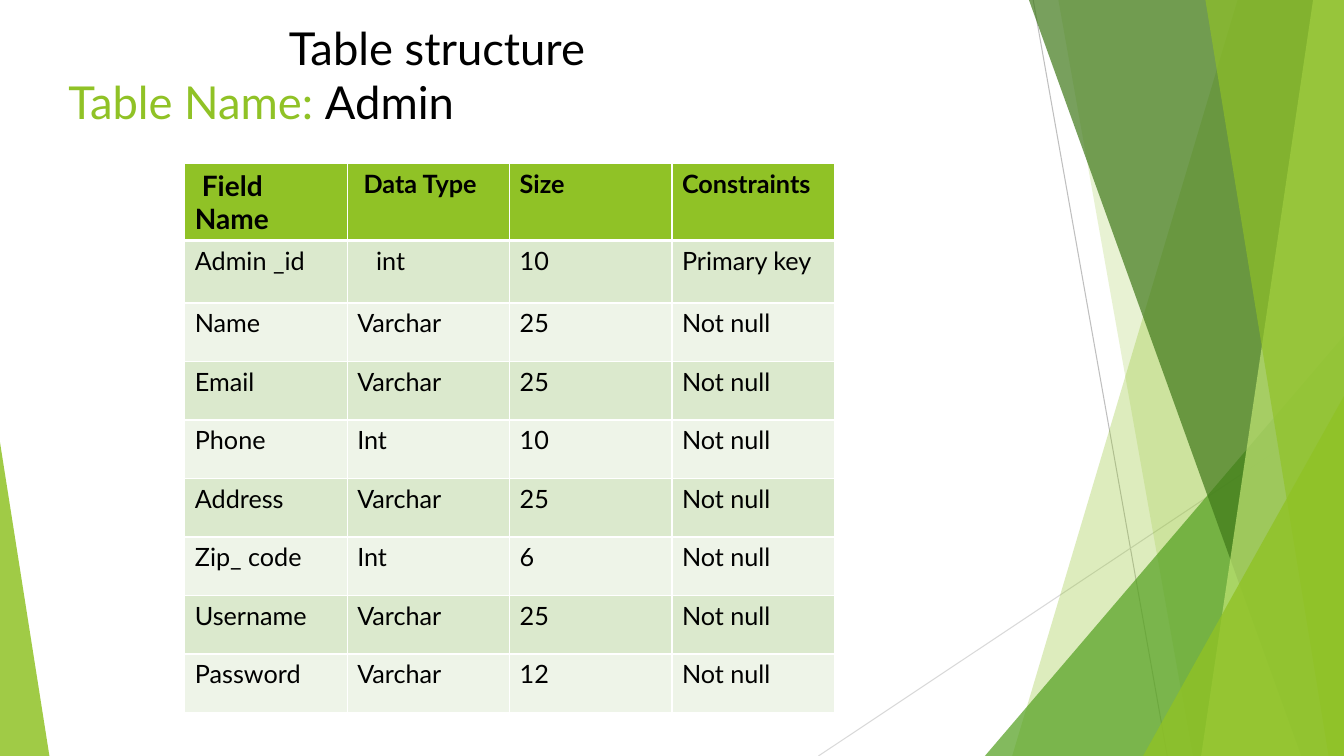
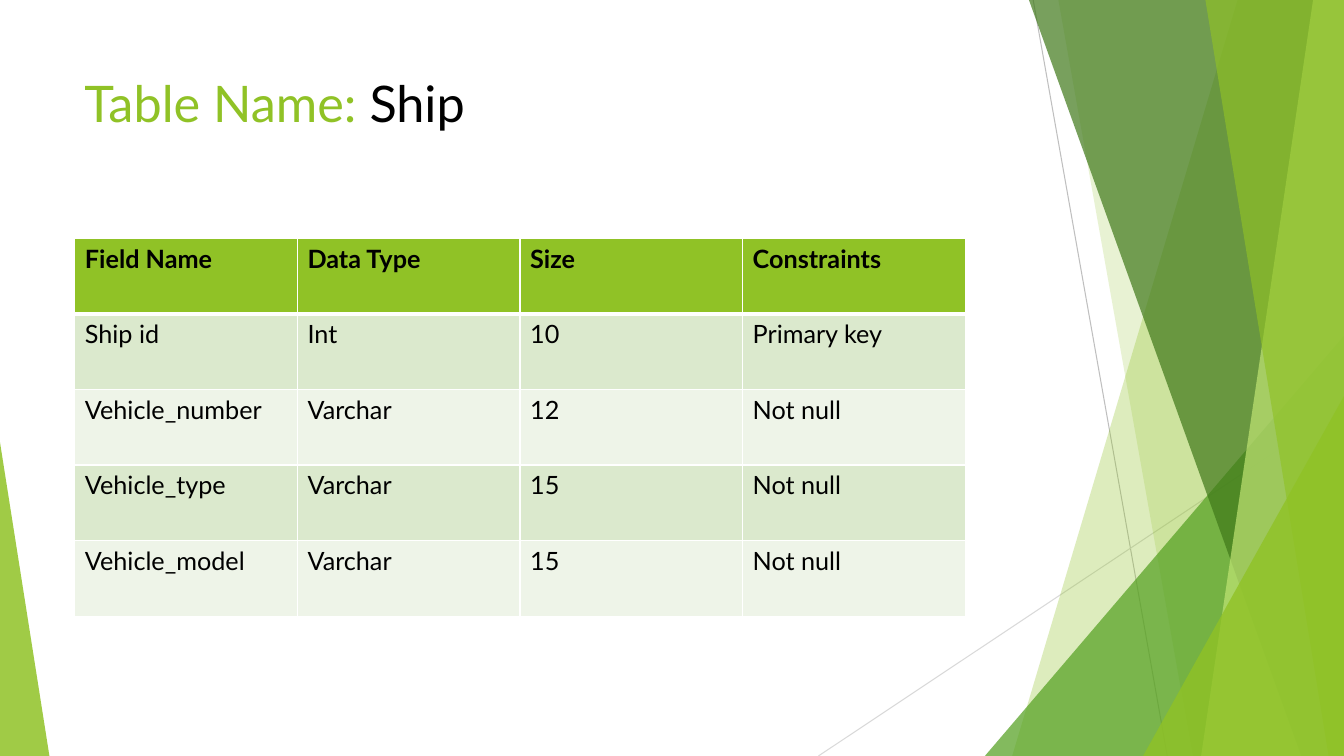
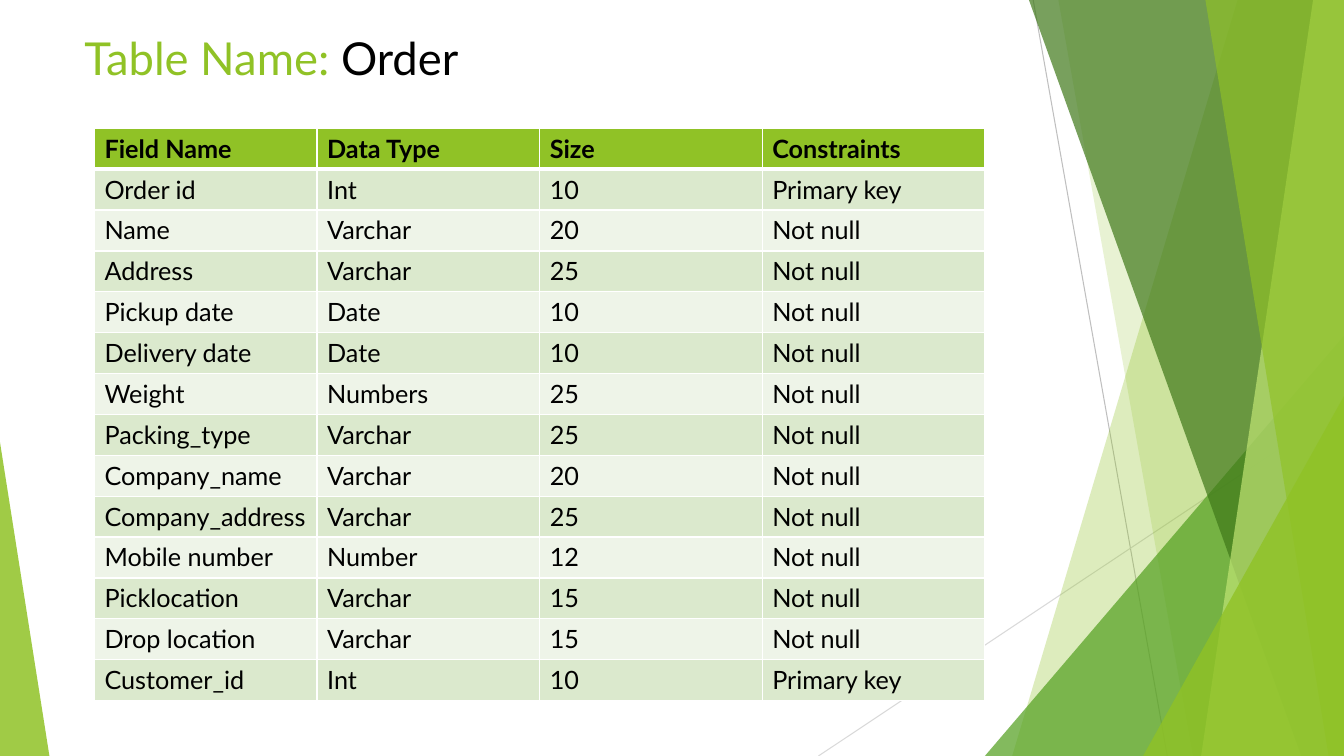
"""Build three slides that describe database tables."""
from lxml import etree
from pptx import Presentation
from pptx.dml.color import RGBColor
from pptx.enum import shapes, text
from pptx.oxml.ns import qn
from pptx.util import Pt

WIDTH, HEIGHT = 960, 540
FONT = "Lato"
COLORS = {
    "black": "000000", "white": "FFFFFF", "lime": "90C226", "pale lime": "C0E474",
    "green": "54A021", "dark green": "3F7819", "gray": "BFBFBF", "light gray": "D9D9D9",
    "odd row": "DBE9CD", "even row": "EEF4E8",
}

RAYS = [
    ("gray", (738, 0), (833.8, HEIGHT)),
    ("light gray", (WIDTH, 290), (584.6, HEIGHT)),
]
FACETS = [
    ("band", (884, 723), "lime", 30),
    ("band", (756, 852), "lime", 20),
    ("triangle", (703.5, 239.8, 256.5, 1), "green", 72),
    ("band", (735, 929.5), "dark green", 70),
    ("band", (938, 858), "pale lime", 70),
    ("band", (861, 949), "lime", 65),
    ("triangle", (816.5, 283, 143.5, 1), "lime", 80),
    ("triangle", (0, 316, 35.3, 0), "lime", 85),
]

HEADER = ("Field Name", "Data Type", "Size", "Constraints")
KEY, FILLED = "Primary key", "Not null"
PAGES = [
    {
        "heading": "Table structure", "name": "Admin",
        "title_size": 32.4, "title_at": (41.8, 10.8, 664.6, 90.7),
        "table_at": (132, 116.6), "column": 116, "heights": (55.2, 44.6, 41.8),
        "first_size": 20, "indents": {(0, 0): 5, (0, 1): 4.5, (1, 1): 13.5},
        "fields": [
            ("Admin _id", "int", 10, KEY),
            ("Name", "Varchar", 25, FILLED),
            ("Email", "Varchar", 25, FILLED),
            ("Phone", "Int", 10, FILLED),
            ("Address", "Varchar", 25, FILLED),
            ("Zip_ code", "Int", 6, FILLED),
            ("Username", "Varchar", 25, FILLED),
            ("Password", "Varchar", 12, FILLED),
        ],
    },
    {
        "name": "Ship",
        "title_size": 36, "title_at": (53.3, 48.2, 676.8, 103.7),
        "table_at": (53.5, 170.2), "column": 159, "heights": (54, 54, 54),
        "fields": [
            ("Ship id", "Int", 10, KEY),
            ("Vehicle_number", "Varchar", 12, FILLED),
            ("Vehicle_type", "Varchar", 15, FILLED),
            ("Vehicle_model", "Varchar", 15, FILLED),
        ],
    },
    {
        "name": "Order",
        "title_size": 32.4, "title_at": (53.3, 18, 401, 46),
        "table_at": (67.5, 92), "column": 159, "heights": (28.8, 29.2, 29.2),
        "fields": [
            ("Order id", "Int", 10, KEY),
            ("Name", "Varchar", 20, FILLED),
            ("Address", "Varchar", 25, FILLED),
            ("Pickup date", "Date", 10, FILLED),
            ("Delivery date", "Date", 10, FILLED),
            ("Weight", "Numbers", 25, FILLED),
            ("Packing_type", "Varchar", 25, FILLED),
            ("Company_name", "Varchar", 20, FILLED),
            ("Company_address", "Varchar", 25, FILLED),
            ("Mobile number", "Number", 12, FILLED),
            ("Picklocation", "Varchar", 15, FILLED),
            ("Drop location", "Varchar", 15, FILLED),
            ("Customer_id", "Int", 10, KEY),
        ],
    },
]


def rgb(name):
    return RGBColor.from_string(COLORS[name])


def write(para, words, size=18, color="black", bold=False, indent=0):
    if indent:
        para._p.get_or_add_pPr().set("indent", str(Pt(indent)))
    span = para.add_run()
    span.text = words
    span.font.name, span.font.size, span.font.bold = FONT, Pt(size), bold
    span.font.color.rgb = rgb(color)


def draw_facet(page, kind, place, color, opacity):
    if kind == "band":
        top_left, bottom_left = place
        builder = page.shapes.build_freeform(Pt(top_left), 0, scale=1.0)
        corners = [(WIDTH, 0), (WIDTH, HEIGHT), (bottom_left, HEIGHT)]
        builder.add_line_segments([(Pt(x), Pt(y)) for x, y in corners], close=True)
        facet = builder.convert_to_shape()
    else:
        left, top, width, apex = place
        facet = page.shapes.add_shape(shapes.MSO_SHAPE.ISOSCELES_TRIANGLE,
                                      Pt(left), Pt(top), Pt(width), Pt(HEIGHT - top))
        facet.adjustments[0] = apex
    facet.shadow.inherit = False
    facet.line.fill.background()
    facet.fill.solid()
    facet.fill.fore_color.rgb = rgb(color)
    tint = facet._element.spPr.find(qn("a:solidFill"))[0]
    etree.SubElement(tint, qn("a:alpha"), val=str(opacity * 1000))


def draw_backdrop(page):
    for color, start, end in RAYS:
        ray = page.shapes.add_connector(shapes.MSO_CONNECTOR.STRAIGHT,
                                        *map(Pt, start + end))
        ray.line.color.rgb = rgb(color)
        ray.line.width = Pt(0.75)
        etree.SubElement(ray._element.spPr, qn("a:effectLst"))
    for facet in FACETS:
        draw_facet(page, *facet)


def add_title(page, content):
    box = page.shapes.add_textbox(*map(Pt, content["title_at"]))
    frame = box.text_frame
    frame.word_wrap = True
    frame.vertical_anchor = text.MSO_ANCHOR.TOP
    size = content["title_size"]
    para = frame.paragraphs[0]
    if "heading" in content:
        write(para, content["heading"], size=size, indent=157.5)
        para = frame.add_paragraph()
    write(para, "Table Name: ", size=size, color="lime")
    write(para, content["name"], size=size)


def set_borders(cell, row):
    widths = {"L": 1, "R": 1, "T": 3 if row == 1 else 1, "B": 3 if row == 0 else 1}
    properties = cell._tc.get_or_add_tcPr()
    for side, width in widths.items():
        border = etree.SubElement(properties, qn(f"a:ln{side}"), w=str(Pt(width)))
        paint = etree.SubElement(border, qn("a:solidFill"))
        etree.SubElement(paint, qn("a:srgbClr"), val=COLORS["white"])


def add_field_table(page, content):
    rows = [HEADER] + content["fields"]
    first, second, other = content["heights"]
    heights = [first, second] + [other] * (len(rows) - 2)
    column = content["column"]
    left, top = content["table_at"]
    table = page.shapes.add_table(len(rows), len(HEADER), Pt(left), Pt(top),
                                  Pt(column * len(HEADER)), Pt(sum(heights))).table
    for table_column in table.columns:
        table_column.width = Pt(column)
    for row, values in enumerate(rows):
        table.rows[row].height = Pt(heights[row])
        fill = "lime" if row == 0 else "odd row" if row % 2 else "even row"
        for index, value in enumerate(values):
            cell = table.cell(row, index)
            set_borders(cell, row)
            cell.fill.solid()
            cell.fill.fore_color.rgb = rgb(fill)
            size = content.get("first_size", 18) if row == index == 0 else 18
            write(cell.text_frame.paragraphs[0], str(value), size=size, bold=row == 0,
                  indent=content.get("indents", {}).get((row, index), 0))


def main():
    deck = Presentation()
    deck.slide_width, deck.slide_height = Pt(WIDTH), Pt(HEIGHT)
    for content in PAGES:
        page = deck.slides.add_slide(deck.slide_layouts[6])
        draw_backdrop(page)
        add_title(page, content)
        add_field_table(page, content)
    deck.save("out.pptx")


if __name__ == "__main__":
    main()
